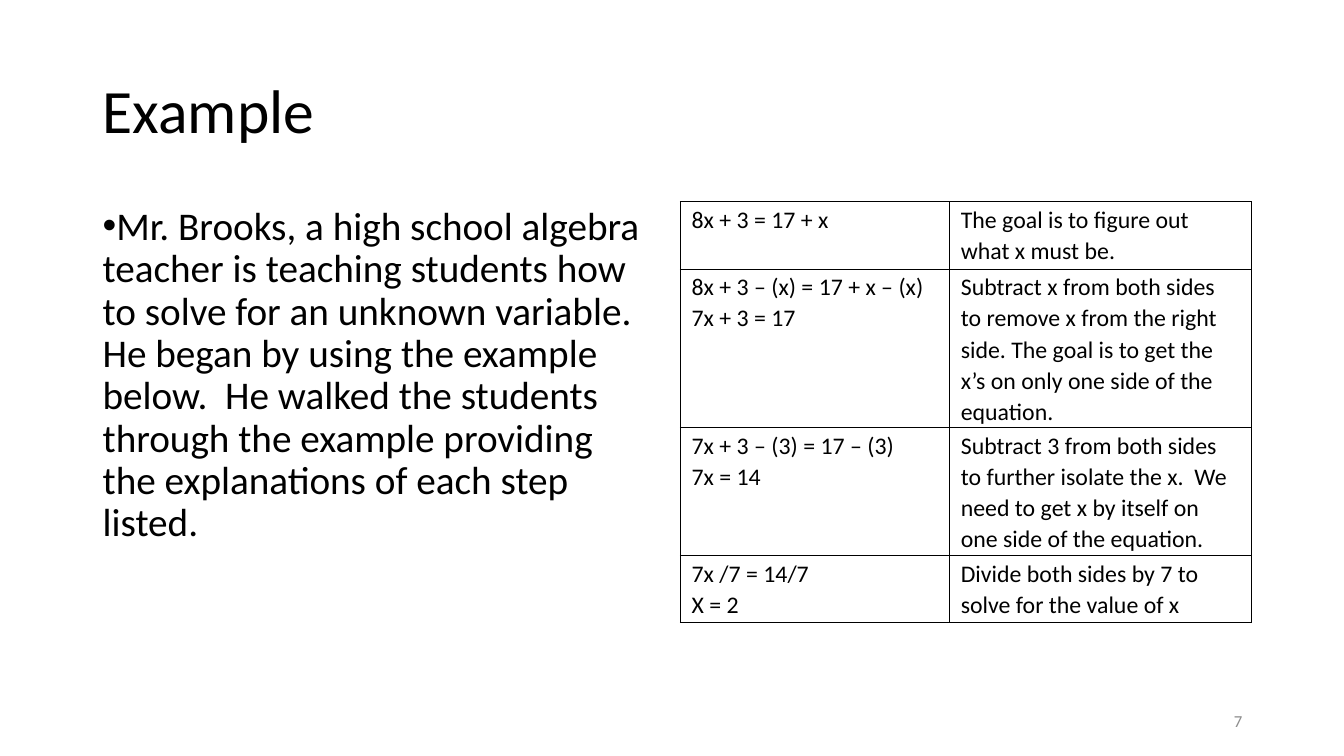
from lxml import etree
from pptx import Presentation
from pptx.dml.color import RGBColor
from pptx.enum.text import MSO_ANCHOR, PP_ALIGN
from pptx.oxml.ns import qn
from pptx.util import Inches, Pt

TOP, MIDDLE = MSO_ANCHOR.TOP, MSO_ANCHOR.MIDDLE
LEFT, RIGHT = PP_ALIGN.LEFT, PP_ALIGN.RIGHT
FONT = "Calibri"
BLACK, GREY = "000000", "8C8C8C"

STORY = (
    "Mr. Brooks, a high school algebra teacher is teaching students how to "
    "solve for an unknown variable.  He began by using the example below.  "
    "He walked the students through the example providing the explanations "
    "of each step listed."
)
STEPS = [
    (["8x + 3 = 17 + x"], "The goal is to figure out what x must be."),
    (["8x + 3 – (x) = 17 + x – (x)", "7x + 3 = 17"],
     "Subtract x from both sides to remove x from the right side. "
     "The goal is to get the x’s on only one side of the equation."),
    (["7x + 3 – (3) = 17 – (3)", "7x = 14"],
     "Subtract 3 from both sides to further isolate the x.  "
     "We need to get x by itself on one side of the equation."),
    (["7x /7 = 14/7", "X = 2"],
     "Divide both sides by 7 to solve for the value of x"),
]
COLUMN_WIDTHS = [2.67, 2.99]
ROW_HEIGHTS = [0.67, 1.57, 1.27, 0.67]


def colour(value):
    return RGBColor.from_string(value)


def set_attributes(target, values):
    for name, value in values.items():
        setattr(target, name, value)


def add_bullet(para):
    properties = para._p.get_or_add_pPr()
    properties.set("marL", "0")
    properties.set("indent", str(-Inches(0.25)))
    etree.SubElement(properties, qn("a:buFont"), typeface="Arial")
    etree.SubElement(properties, qn("a:buChar"), char="•")


def write_lines(frame, lines, size, fill=BLACK, **paragraph_format):
    frame.word_wrap = True
    for index, line in enumerate(lines):
        para = frame.add_paragraph() if index else frame.paragraphs[0]
        set_attributes(para, paragraph_format)
        span = para.add_run()
        span.text = line
        set_attributes(span.font, {"name": FONT, "size": Pt(size)})
        span.font.color.rgb = colour(fill)


def add_text(page, place, text, size, anchor=TOP, **paragraph_format):
    box = page.shapes.add_textbox(*map(Inches, place))
    box.text_frame.vertical_anchor = anchor
    write_lines(box.text_frame, [text], size, **paragraph_format)
    return box


def add_borders(cell):
    properties = cell._tc.get_or_add_tcPr()
    for side in ("lnL", "lnR", "lnT", "lnB"):
        line = etree.SubElement(properties, qn(f"a:{side}"), w=str(Pt(1)))
        fill = etree.SubElement(line, qn("a:solidFill"))
        etree.SubElement(fill, qn("a:srgbClr"), val=BLACK)


def fill_cell(cell, lines):
    set_attributes(cell, {
        "margin_left": Inches(0.11), "margin_right": Inches(0.11),
        "margin_top": Inches(0.02), "margin_bottom": 0,
        "vertical_anchor": TOP,
    })
    add_borders(cell)
    cell.fill.background()
    write_lines(cell.text_frame, lines, 17, line_spacing=1.07)


def add_steps_table(page, left, top):
    size = (sum(COLUMN_WIDTHS), sum(ROW_HEIGHTS))
    table = page.shapes.add_table(
        len(STEPS), len(COLUMN_WIDTHS), *map(Inches, (left, top, *size))
    ).table
    set_attributes(table, {"first_row": False, "horz_banding": False})
    for column, width in zip(table.columns, COLUMN_WIDTHS):
        column.width = Inches(width)
    for row, height, (equations, reason) in zip(table.rows, ROW_HEIGHTS, STEPS):
        row.height = Inches(height)
        fill_cell(row.cells[0], equations)
        fill_cell(row.cells[1], [reason])


def main():
    deck = Presentation()
    set_attributes(deck, {"slide_width": Inches(13.33),
                          "slide_height": Inches(7.5)})
    page = deck.slides.add_slide(deck.slide_layouts[6])

    add_text(page, (0.92, 0.4, 11.5, 1.45), "Example", 44, MIDDLE,
             line_spacing=0.9, alignment=LEFT)
    story = add_text(page, (0.92, 2, 5.67, 4.76), STORY, 28,
                     line_spacing=0.9, space_after=Pt(6))
    add_bullet(story.text_frame.paragraphs[0])
    add_steps_table(page, 6.75, 2)
    add_text(page, (9.42, 6.95, 3, 0.4), "7", 12, MIDDLE,
             fill=GREY, alignment=RIGHT, space_after=Pt(6))

    deck.save("out.pptx")


if __name__ == "__main__":
    main()
